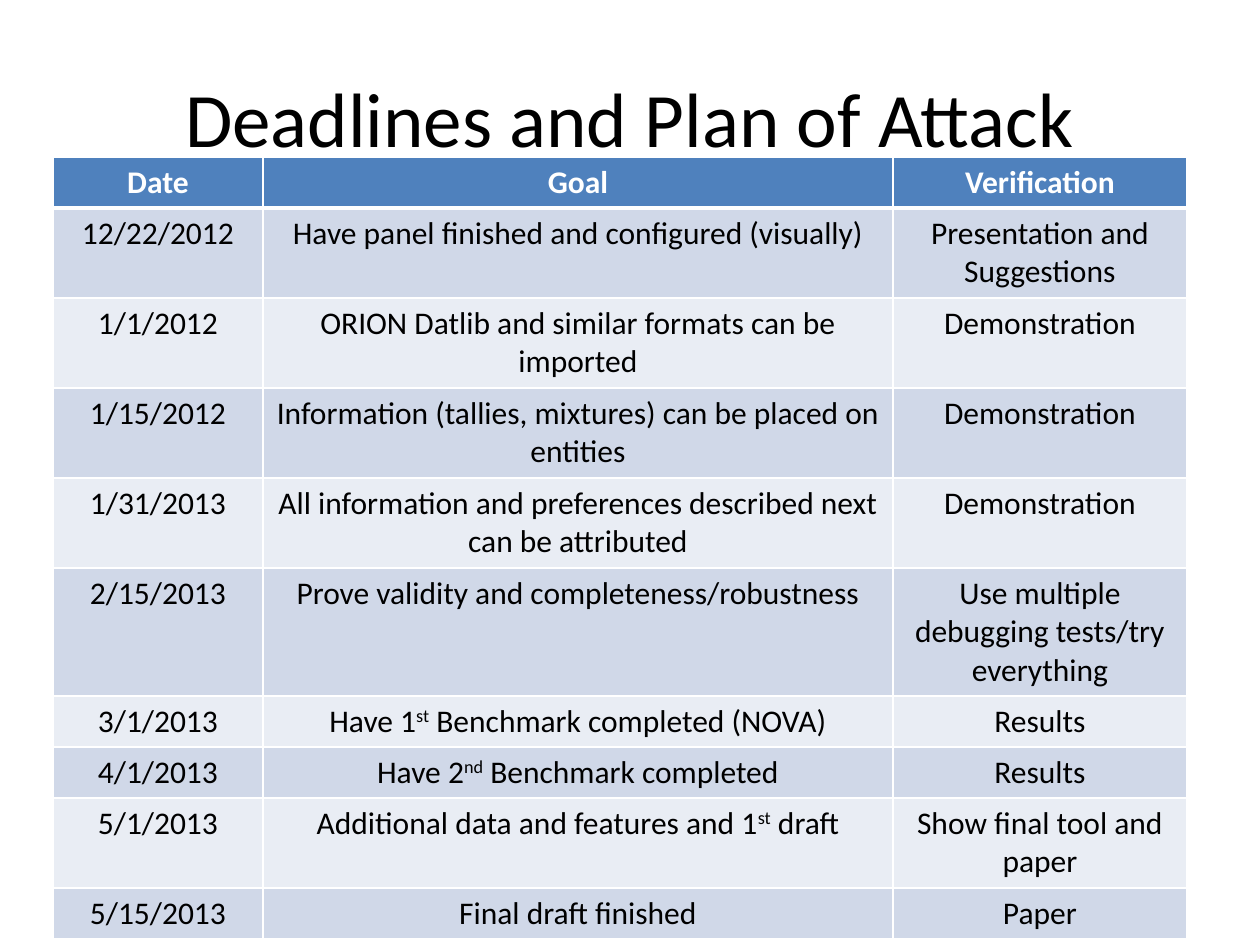
from pptx import Presentation
from pptx.dml.color import RGBColor
from pptx.enum.text import MSO_ANCHOR, PP_ALIGN
from pptx.oxml import parse_xml
from pptx.oxml.ns import nsdecls
from pptx.util import Emu, Pt

COLORS = {"black": "000000", "white": "FFFFFF", "header": "4F81BD",
          "odd": "D0D8E8", "even": "E9EDF4"}
FONT = "Calibri"


def px(pixels):
    return Emu(round(pixels * 914400 / 126))


def style_paragraph(paragraph, size, color, bold=False):
    paragraph.alignment = PP_ALIGN.CENTER
    paragraph.font.name = FONT
    paragraph.font.size = Pt(size)
    paragraph.font.bold = bold
    paragraph.font.color.rgb = RGBColor.from_string(COLORS[color])


presentation = Presentation()
presentation.slide_width, presentation.slide_height = px(1260), px(945)
slide = presentation.slides.add_slide(presentation.slide_layouts[6])

# Title
title = slide.shapes.add_textbox(px(63), px(38), px(1134), px(158))
title.text_frame.word_wrap = True
title.text_frame.vertical_anchor = MSO_ANCHOR.MIDDLE
title.text_frame.text = "Deadlines and Plan of Attack"
style_paragraph(title.text_frame.paragraphs[0], 44, "black")

# Schedule: line count of the row, then its cells; text between carets is raised
SCHEDULE = [
    (1, "Date", "Goal", "Verification"),
    (2, "12/22/2012", "Have panel finished and configured (visually)",
     "Presentation and Suggestions"),
    (2, "1/1/2012", "ORION Datlib and similar formats can be imported",
     "Demonstration"),
    (2, "1/15/2012", "Information (tallies, mixtures) can be placed on entities",
     "Demonstration"),
    (2, "1/31/2013", "All information and preferences described next can be attributed",
     "Demonstration"),
    (3, "2/15/2013", "Prove validity and completeness/robustness",
     "Use multiple debugging tests/try everything"),
    (1, "3/1/2013", "Have 1^st^ Benchmark completed (NOVA)", "Results"),
    (1, "4/1/2013", "Have 2^nd^ Benchmark completed", "Results"),
    (2, "5/1/2013", "Additional data and features and 1^st^ draft",
     "Show final tool and paper"),
    (1, "5/15/2013", "Final draft finished", "Paper"),
]
COLUMN_WIDTHS = [210, 630, 294]
ROW_HEIGHTS = {1: 51, 2: 90, 3: 128}

table = slide.shapes.add_table(
    len(SCHEDULE), len(COLUMN_WIDTHS), px(53), px(157), px(sum(COLUMN_WIDTHS)),
    px(sum(ROW_HEIGHTS[lines] for lines, *texts in SCHEDULE))).table
for column, width in zip(table.columns, COLUMN_WIDTHS):
    column.width = px(width)

for row_index, (lines, *texts) in enumerate(SCHEDULE):
    table.rows[row_index].height = px(ROW_HEIGHTS[lines])
    is_header = row_index == 0
    fill = "header" if is_header else "odd" if row_index % 2 else "even"
    for column_index, text in enumerate(texts):
        cell = table.cell(row_index, column_index)

        # Borders, with a thick line between header and body
        properties = cell._tc.get_or_add_tcPr()
        for side in "LRTB":
            thick = (row_index, side) in ((0, "B"), (1, "T"))
            properties.append(parse_xml(
                f'<a:ln{side} {nsdecls("a")} w="{Pt(3 if thick else 1)}"><a:solidFill>'
                f'<a:srgbClr val="{COLORS["white"]}"/></a:solidFill></a:ln{side}>'))
        cell.fill.solid()
        cell.fill.fore_color.rgb = RGBColor.from_string(COLORS[fill])

        # Text
        paragraph = cell.text_frame.paragraphs[0]
        style_paragraph(paragraph, 18, "white" if is_header else "black", is_header)
        for part_index, part in enumerate(text.split("^")):
            run = paragraph.add_run()
            run.text = part
            if part_index % 2:
                run.font._element.set("baseline", "30000")

presentation.save("out.pptx")
